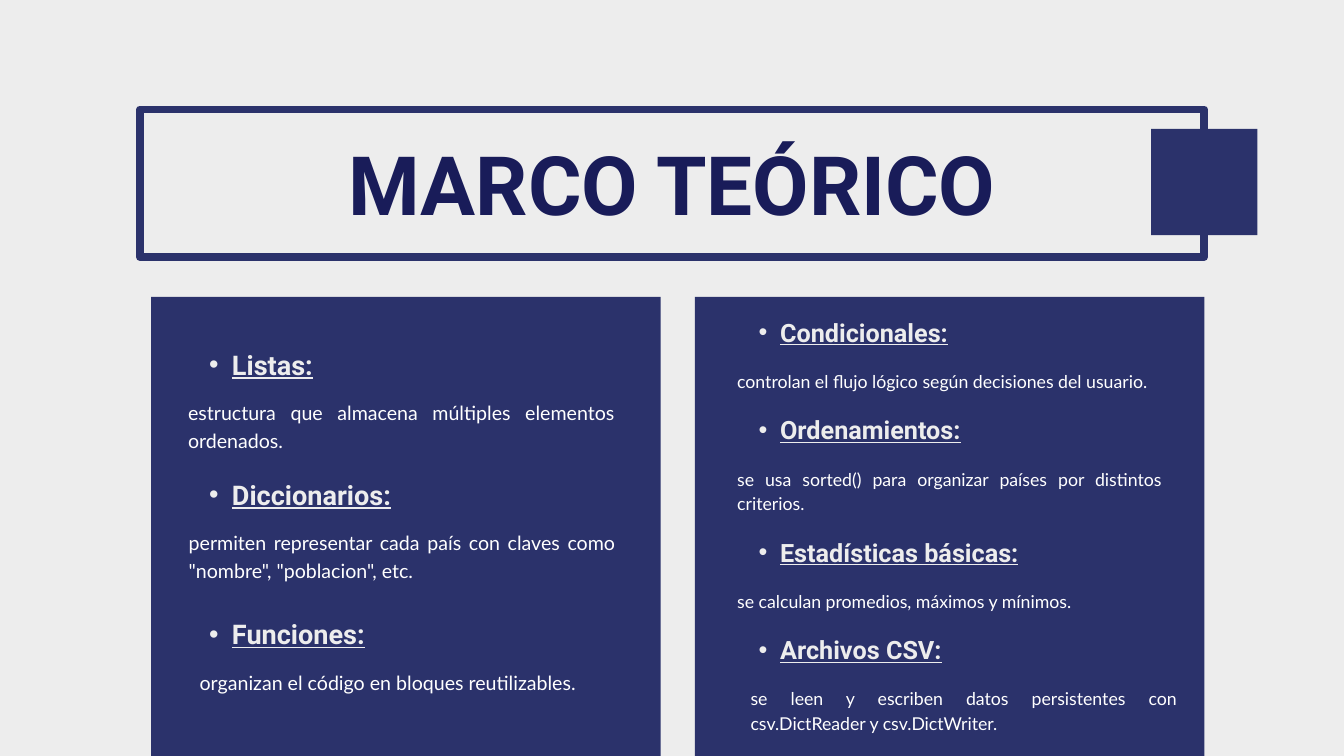
from dataclasses import dataclass
from lxml.etree import SubElement
from pptx import Presentation
from pptx.dml.color import RGBColor as Rgb
from pptx.enum.shapes import MSO_SHAPE as Shape
from pptx.enum.text import PP_ALIGN as Align
from pptx.oxml.ns import qn
from pptx.util import Pt


@dataclass(frozen=True)
class Theme:
    back: str = "EDEDED"
    navy: str = "2B326B"
    ink: str = "191C59"
    white: str = "FFFFFF"
    head: str = "Roboto"
    body: str = "Lato"
    title: float = 87.7


THEME = Theme()
TITLE = "MARCO TEÓRICO"

# Each topic: top, heading, body, body line count, body shift to the right
COLUMNS = [
    dict(panel=162, left=199.5, wide=458, head=29, body=21, indent=24.5,
         lead=(35.7, 29.4), drop=53.6, topics=[
             (372.2, "Listas:",
              "estructura que almacena múltiples elementos ordenados.", 2, 2),
             (511.4, "Diccionarios:",
              'permiten representar cada país con claves como "nombre", '
              '"poblacion", etc.', 2, 2.7),
             (661, "Funciones:",
              "organizan el código en bloques reutilizables.", 1, 14.4),
         ]),
    dict(panel=744.5, left=789.8, wide=455, head=27, body=19, indent=23,
         lead=(33.2, 26.6), drop=54.4, topics=[
             (339, "Condicionales:",
              "controlan el flujo lógico según decisiones del usuario.", 1, 0),
             (443.6, "Ordenamientos:",
              "se usa sorted() para organizar países por distintos criterios.",
              2, 0),
             (574.4, "Estadísticas básicas:",
              "se calculan promedios, máximos y mínimos.", 1, 0),
             (679, "Archivos CSV:",
              "se leen y escriben datos persistentes con csv.DictReader y "
              "csv.DictWriter.", 2, 14.4),
         ]),
]


def add_box(slide, left, top, wide, high, fill=None, line=None, weight=0):
    box = slide.shapes.add_shape(
        Shape.RECTANGLE, Pt(left), Pt(top), Pt(wide), Pt(high))
    box.shadow.inherit = False
    if fill:
        box.fill.solid()
        box.fill.fore_color.rgb = Rgb.from_string(fill)
    else:
        box.fill.background()
    if line:
        box.line.color.rgb = Rgb.from_string(line)
        box.line.width = Pt(weight)
    else:
        box.line.fill.background()


def add_text(slide, text, left, top, wide, high, *, size, lead, font, color,
             bold=False, under=False, align=None, indent=0):
    """Add one paragraph; a nonzero indent makes it a bullet."""
    frame = slide.shapes.add_textbox(
        Pt(left), Pt(top), Pt(wide), Pt(high)).text_frame
    frame.word_wrap = True
    frame.margin_left = frame.margin_right = 0
    frame.margin_top = frame.margin_bottom = 0
    para = frame.paragraphs[0]
    para.line_spacing = Pt(lead)
    if align is not None:
        para.alignment = align
    if indent:
        para.level = 1
        props = para._p.get_or_add_pPr()
        props.set("marL", str(Pt(2 * indent)))
        props.set("indent", str(-Pt(indent)))
        SubElement(props, qn("a:buFont")).set("typeface", "Arial")
        SubElement(props, qn("a:buChar")).set("char", "•")
    run = para.add_run()
    run.text = text
    run.font.size = Pt(size)
    run.font.name = font
    run.font.bold = bold
    run.font.underline = under
    run.font.color.rgb = Rgb.from_string(color)


def add_column(slide, col):
    head_lead, body_lead = col["lead"]
    for top, head, body, lines, shift in col["topics"]:
        add_text(slide, head, col["left"], top, col["wide"], head_lead,
                 size=col["head"], lead=head_lead, font=THEME.head,
                 color=THEME.back, bold=True, under=True,
                 indent=col["indent"])
        add_text(slide, body, col["left"] + shift, top + col["drop"],
                 457 if shift else col["wide"], lines * body_lead,
                 size=col["body"], lead=body_lead, font=THEME.body,
                 color=THEME.white, align=Align.JUSTIFY)


def main():
    deck = Presentation()
    deck.slide_width, deck.slide_height = Pt(1440), Pt(810)
    slide = deck.slides.add_slide(deck.slide_layouts[6])
    slide.background.fill.solid()
    slide.background.fill.fore_color.rgb = Rgb.from_string(THEME.back)

    for col in COLUMNS:
        add_box(slide, col["panel"], 318.2, 545.8, 918.7, fill=THEME.navy)
    add_box(slide, 150, 117.2, 1140.2, 158.4, line=THEME.navy, weight=8.25)
    add_text(slide, TITLE, 150.2, 141.1, 1140.2, 105.8, size=THEME.title,
             lead=107.9, font=THEME.head, color=THEME.ink, bold=True,
             align=Align.CENTER)
    for col in COLUMNS:
        add_column(slide, col)
    add_box(slide, 1233.4, 138.2, 113.8, 113.8, fill=THEME.navy)
    deck.save("out.pptx")


if __name__ == "__main__":
    main()
